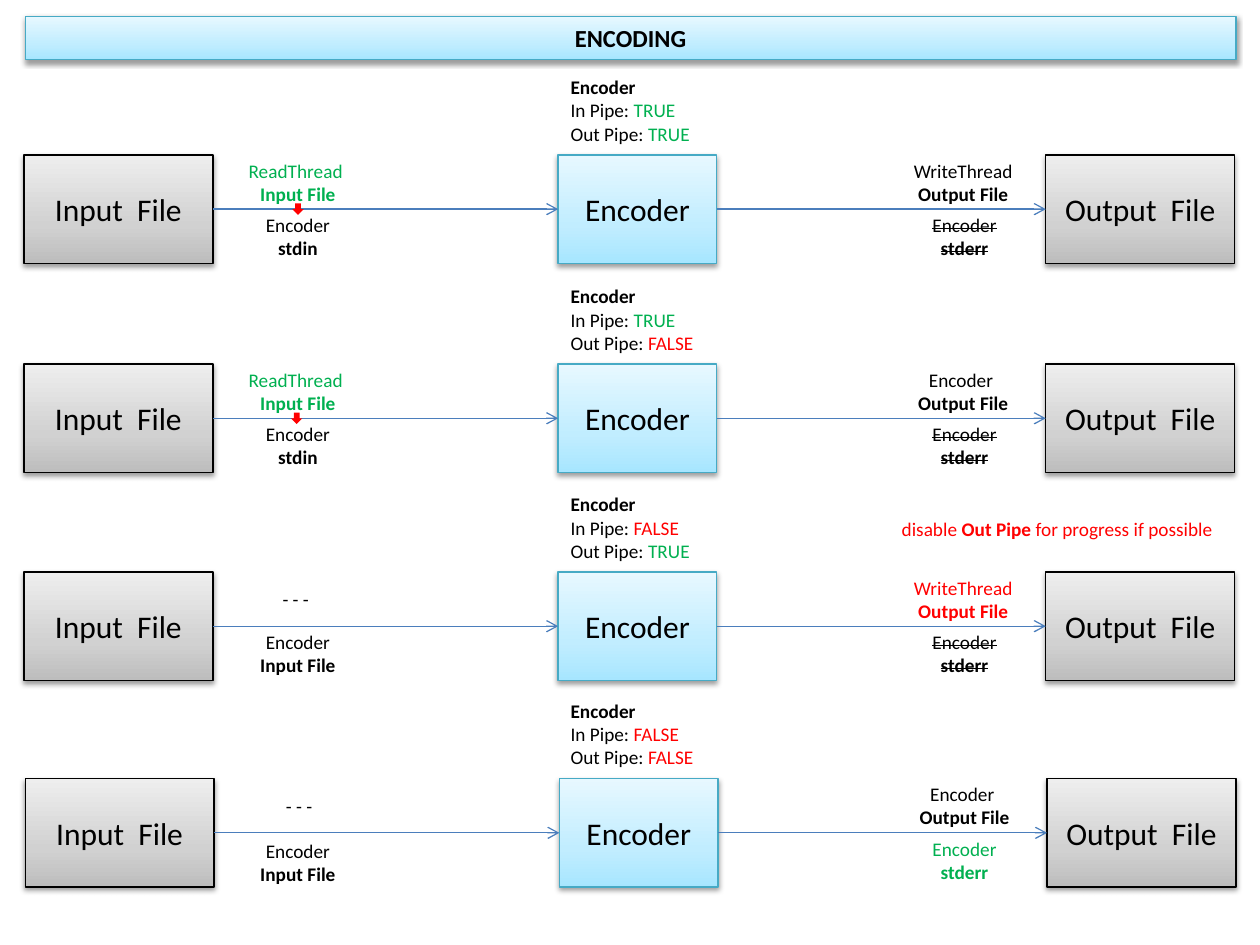
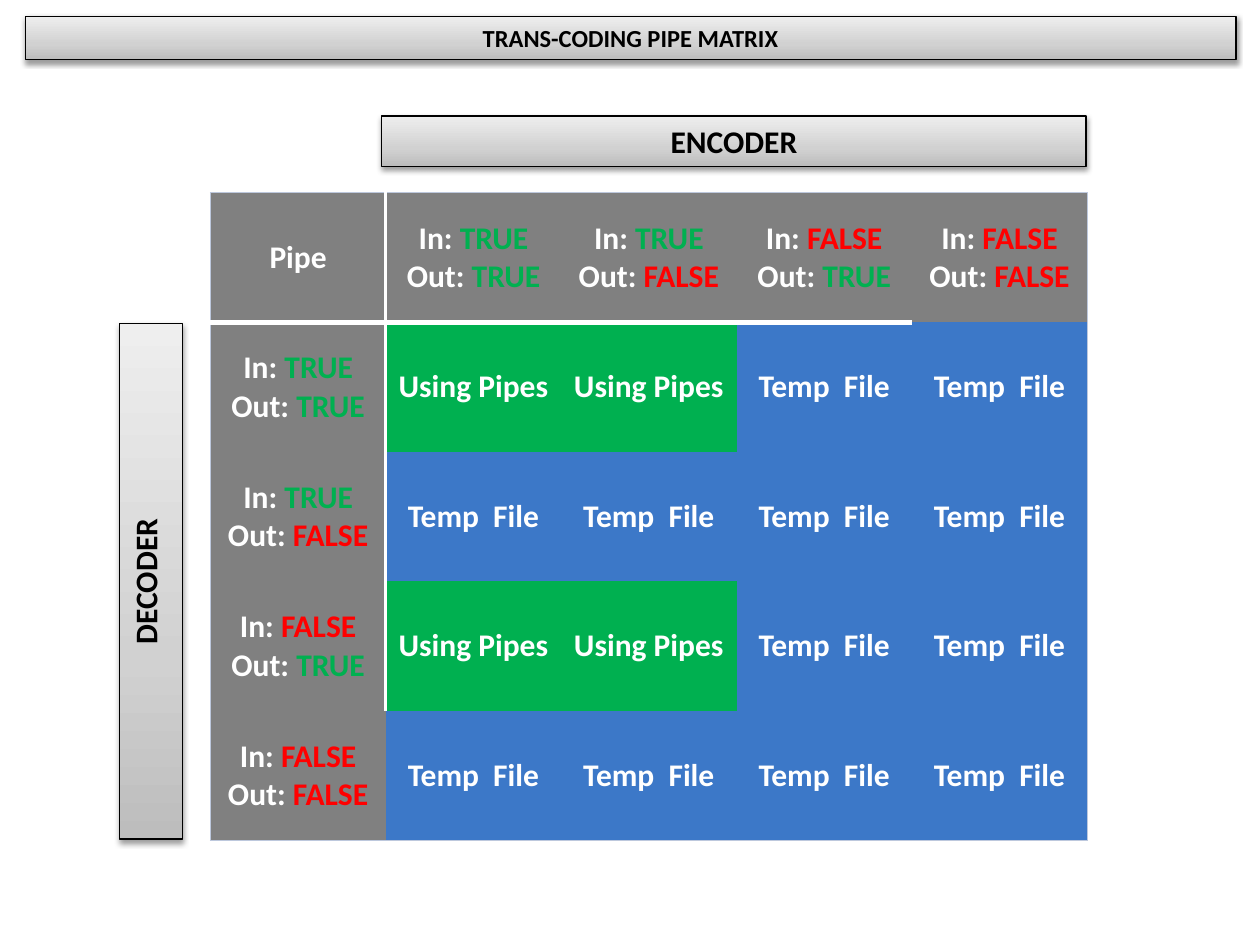
"""Builds two slides on encoder pipes: the encoding flows and the trans-coding matrix."""
from dataclasses import dataclass
from itertools import product
from typing import NamedTuple

from lxml.etree import SubElement
from pptx import Presentation
from pptx.dml.color import RGBColor
from pptx.enum.shapes import MSO_CONNECTOR as Connector, MSO_SHAPE as Preset
from pptx.enum.text import MSO_ANCHOR as Anchor, MSO_AUTO_SIZE as AutoSize, PP_ALIGN as Align
from pptx.oxml.ns import qn
from pptx.shapes.autoshape import Shape
from pptx.slide import Slide
from pptx.table import Table, _Cell as Cell
from pptx.text.text import TextFrame
from pptx.util import Inches, Pt

FONT = "Calibri"
BLACK, WHITE, GREEN, RED = "000000", "FFFFFF", "00B050", "FF0000"
ARROW_BLUE, TABLE_BLUE, HEADER_GREY, FRAME = "4B7EBC", "3C78C8", "808080", "BDC8DD"
NO_GRID_STYLE = "{2D5ABB26-0587-4C30-8999-92F81FD0307C}"


class Run(NamedTuple):
    text: str
    color: str = BLACK
    bold: bool = False
    strike: bool = False


class Box(NamedTuple):
    left: float
    top: float
    width: float
    height: float


class Theme(NamedTuple):
    bottom: str
    middle: str
    top: str
    outline: str


class Pipes(NamedTuple):
    in_pipe: bool
    out_pipe: bool


Lines = list[list[Run]]
BLUE = Theme("A7E6FF", "C1EDFF", "E7F8FF", "46AAC5")
GREY = Theme("BDBDBD", "D1D1D1", "EEEEEE", BLACK)
PIPE_STATES = [Pipes(*state) for state in product((True, False), repeat=2)]


@dataclass
class Flow:
    top: float
    pipes: Pipes
    read_above: Lines
    read_below: Lines
    write_above: Lines
    write_below: Lines
    shift: float = 0
    read_drop: float = 0
    handover: float | None = None


def rgb(color: str) -> RGBColor:
    return RGBColor.from_string(color)


def write(frame: TextFrame, lines: Lines, *, size: float = 11, align: Align = Align.CENTER,
          anchor: Anchor = Anchor.MIDDLE) -> None:
    frame.word_wrap = True
    frame.auto_size = AutoSize.NONE
    frame.vertical_anchor = anchor
    for index, line in enumerate(lines):
        paragraph = frame.add_paragraph() if index else frame.paragraphs[0]
        paragraph.alignment = align
        for part in line:
            run = paragraph.add_run()
            run.text = part.text
            run.font.name, run.font.size = FONT, Pt(size)
            run.font.bold = part.bold
            run.font.color.rgb = rgb(part.color)
            if part.strike:
                run.font._element.set("strike", "sngStrike")


def pair(first: str, second: str, color: str = BLACK, strike: bool = False) -> Lines:
    return [[Run(first, color, False, strike)], [Run(second, color, True, strike)]]


def flag(label: str, value: bool, label_color: str, bold: bool) -> list[Run]:
    return [Run(label, label_color, bold),
            Run("TRUE" if value else "FALSE", GREEN if value else RED, bold)]


def place(box: Box) -> tuple[Inches, ...]:
    return tuple(Inches(length) for length in box)


def style_block(shape: Shape, theme: Theme) -> None:
    shape.fill.gradient()
    shape.fill.gradient_angle = 90
    properties = shape.element.spPr
    stops = properties.find(".//" + qn("a:gsLst"))
    stops.clear()
    for position, color in ((0, theme.bottom), (35, theme.middle), (100, theme.top)):
        stop = SubElement(stops, qn("a:gs"), pos=str(position * 1000))
        SubElement(stop, qn("a:srgbClr"), val=color)
    shape.line.color.rgb = rgb(theme.outline)
    shape.line.width = Pt(0.75)
    shape.shadow.inherit = False
    shadow = SubElement(properties.find(qn("a:effectLst")), qn("a:outerShdw"), blurRad="40000",
                        dist="20000", dir="5400000", rotWithShape="0")
    SubElement(SubElement(shadow, qn("a:srgbClr"), val=BLACK), qn("a:alpha"), val="38000")


def add_block(slide: Slide, box: Box, text: str, theme: Theme, *, bold: bool = False,
              anchor: Anchor = Anchor.MIDDLE) -> Shape:
    block = slide.shapes.add_shape(Preset.RECTANGLE, *place(box))
    style_block(block, theme)
    write(block.text_frame, [[Run(text, BLACK, bold)]], size=18, anchor=anchor)
    return block


def add_label(slide: Slide, box: Box, lines: Lines, align: Align = Align.CENTER) -> None:
    write(slide.shapes.add_textbox(*place(box)).text_frame, lines, align=align)


def add_arrow(slide: Slide, start: float, end: float, height: float) -> None:
    arrow = slide.shapes.add_connector(Connector.STRAIGHT, Inches(start), Inches(height),
                                       Inches(end), Inches(height))
    arrow.line.color.rgb = rgb(ARROW_BLUE)
    arrow.line.width = Pt(0.75)
    properties = arrow.element.spPr
    SubElement(properties.find(qn("a:ln")), qn("a:tailEnd"), type="arrow")
    SubElement(properties, qn("a:effectLst"))


def add_handover(slide: Slide, left: float, line_height: float) -> None:
    size = 0.09
    mark = slide.shapes.add_shape(Preset.DOWN_ARROW,
                                  *place(Box(left, line_height - size / 2, size, size)))
    mark.fill.solid()
    mark.fill.fore_color.rgb = rgb(RED)
    mark.line.fill.background()
    mark.shadow.inherit = False


def add_titled_slide(deck: Presentation, title: str, theme: Theme) -> Slide:
    slide = deck.slides.add_slide(deck.slide_layouts[5])
    banner = slide.shapes.title
    banner.left, banner.top, banner.width, banner.height = place(Box(0.2, 0.13, 9.61, 0.34))
    style_block(banner, theme)
    write(banner.text_frame, [[Run(title, BLACK, True)]], size=14, anchor=Anchor.TOP)
    return slide


def draw_flow(slide: Slide, flow: Flow) -> None:
    block_height, label_height, pipes_height = 0.86, 0.43, 0.71
    top, shift = flow.top, flow.shift
    middle = top + label_height
    source, encoder, target = (Box(left + shift, top, width, block_height)
                               for left, width in ((0.19, 1.5), (4.43, 1.26), (8.3, 1.5)))
    add_block(slide, source, "Input  File", GREY)
    add_block(slide, encoder, "Encoder", BLUE)
    add_block(slide, target, "Output  File", GREY)
    for before, after in ((source, encoder), (encoder, target)):
        add_arrow(slide, before.left + before.width, after.left, middle)
    labels = ((1.68 + shift, top, flow.read_above), (1.68, middle + flow.read_drop, flow.read_below),
              (6.96 + shift, top, flow.write_above), (6.97, middle, flow.write_below))
    for left, label_top, lines in labels:
        add_label(slide, Box(left, label_top, 1.37, label_height), lines)
    state = [[Run("Encoder", bold=True)],
             flag("In Pipe: ", flow.pipes.in_pipe, BLACK, False),
             flag("Out Pipe: ", flow.pipes.out_pipe, BLACK, False)]
    left = encoder.left - shift + (0.02 if flow.pipes.in_pipe != flow.pipes.out_pipe else 0) * 0
    add_label(slide, Box(left, top - pipes_height, 1.28, pipes_height), state, Align.LEFT)
    if flow.handover:
        add_handover(slide, flow.handover, middle)


def build_encoding(deck: Presentation) -> None:
    slide = add_titled_slide(deck, "ENCODING", BLUE)
    read_thread = pair("ReadThread ", "Input File", GREEN)
    to_stdin, from_file = pair("Encoder", "stdin"), pair("Encoder", "Input File")
    direct_output = pair("Encoder ", "Output File")
    unused_stderr = pair("Encoder", "stderr", strike=True)
    both, only_in, only_out, neither = PIPE_STATES
    flows = [
        Flow(1.23, both, read_thread, to_stdin, pair("WriteThread", "Output File"),
             unused_stderr, handover=2.32),
        Flow(2.89, only_in, read_thread, to_stdin, direct_output, unused_stderr, handover=2.31),
        Flow(4.54, only_out, [[Run("- - - ")]], from_file,
             pair("WriteThread", "Output File", RED), unused_stderr),
        Flow(6.18, neither, [[Run("- - -")]], from_file, direct_output,
             pair("Encoder", "stderr", GREEN), shift=0.01, read_drop=0.02),
    ]
    for flow in flows:
        draw_flow(slide, flow)
    add_label(slide, Box(6.98, 3.98, 2.82, 0.43),
              [[Run("disable ", RED), Run("Out Pipe", RED, True),
                Run(" for progress if possible", RED)]])


def set_borders(cell: Cell, borders: dict[str, tuple[str, float]]) -> None:
    properties = cell._tc.get_or_add_tcPr()
    sides = [side for side in "LRTB" if side in borders]
    for index, side in enumerate(sides):
        color, width = borders[side]
        border = SubElement(properties, qn(f"a:ln{side}"), w=str(Pt(width)))
        SubElement(SubElement(border, qn("a:solidFill")), qn("a:srgbClr"), val=color)
        properties.insert(index, border)


def cell_borders(row: int, column: int, last: int) -> dict[str, tuple[str, float]]:
    outer = (FRAME, 0.75)
    rules = {"L": (column == 0, outer), "T": (row == 0, outer),
             "R": (column == last, outer), "B": (row == last, outer)}
    borders = {side: line for side, (applies, line) in rules.items() if applies}
    if column == 0 and row < last:
        borders["R"] = (WHITE, 2)
    if row == 0 and column < last:
        borders["B"] = (WHITE, 3)
    return borders


def fill_cell(table: Table, row: int, column: int) -> None:
    cell = table.cell(row, column)
    fill = HEADER_GREY
    if row and column:
        piped = PIPE_STATES[row - 1].out_pipe and PIPE_STATES[column - 1].in_pipe
        fill = GREEN if piped else TABLE_BLUE
        lines = [[Run("Using Pipes" if piped else "Temp  File", WHITE, True)]]
    elif row or column:
        state = PIPE_STATES[max(row, column) - 1]
        lines = [flag("In: ", state.in_pipe, WHITE, True),
                 flag("Out: ", state.out_pipe, WHITE, True)]
    else:
        lines = [[Run("Pipe", WHITE, True)]]
    write(cell.text_frame, lines, size=18)
    cell.vertical_anchor = Anchor.MIDDLE
    cell.fill.solid()
    cell.fill.fore_color.rgb = rgb(fill)
    set_borders(cell, cell_borders(row, column, len(PIPE_STATES)))


def build_matrix(deck: Presentation) -> None:
    slide = add_titled_slide(deck, "TRANS-CODING PIPE MATRIX", GREY)
    count = len(PIPE_STATES) + 1
    table = slide.shapes.add_table(count, count, *place(Box(1.67, 1.53, 6.96, 5.14))).table
    table.first_row = table.horz_banding = False
    table._tbl.tblPr.find(qn("a:tableStyleId")).text = NO_GRID_STYLE
    for row, column in product(range(count), repeat=2):
        fill_cell(table, row, column)
    add_block(slide, Box(3.03, 0.92, 5.59, 0.4), "ENCODER", GREY, bold=True, anchor=Anchor.TOP)
    decoder = add_block(slide, Box(0.95, 2.57, 0.5, 4.09), "DECODER", GREY, bold=True,
                        anchor=Anchor.TOP)
    decoder.text_frame._txBody.bodyPr.set("vert", "vert270")


def main() -> None:
    deck = Presentation()
    deck.slide_width, deck.slide_height = Inches(10), Inches(7.5)
    build_encoding(deck)
    build_matrix(deck)
    deck.save("out.pptx")


if __name__ == "__main__":
    main()
